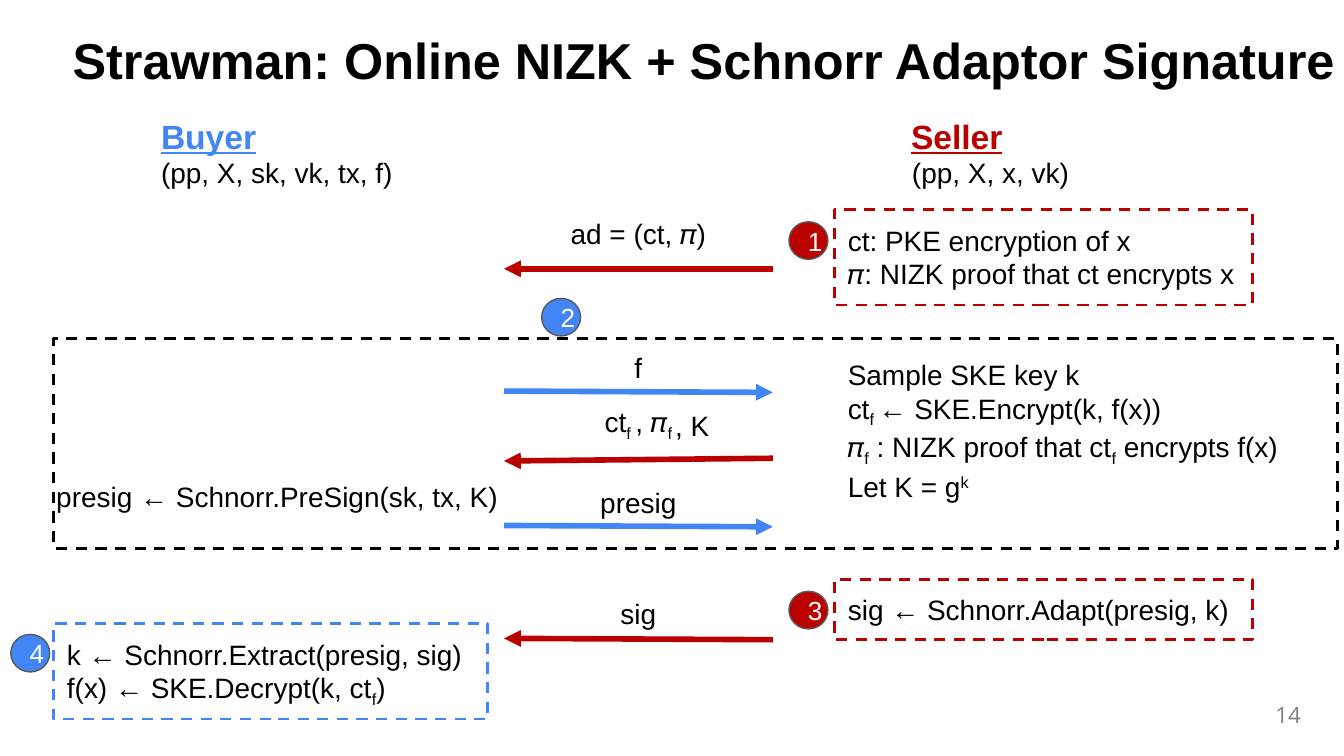
"""Build the slide on the strawman protocol between a buyer and a seller."""
from dataclasses import dataclass

import lxml.etree
import pptx
import pptx.dml.color
import pptx.enum.dml
import pptx.enum.shapes
import pptx.enum.text
import pptx.oxml.ns
import pptx.util

RGB = pptx.dml.color.RGBColor
BLACK = RGB(0x00, 0x00, 0x00)
WHITE = RGB(0xFF, 0xFF, 0xFF)
GRAY = RGB(0x82, 0x82, 0x82)
OUTLINE = RGB(0x59, 0x59, 0x59)
BUYER = RGB(0x42, 0x85, 0xF4)
SELLER = RGB(0xBB, 0x00, 0x00)

SHAPE = pptx.enum.shapes.MSO_SHAPE
ALIGN = pptx.enum.text.PP_ALIGN
ANCHOR = pptx.enum.text.MSO_ANCHOR
AUTO_SIZE = pptx.enum.text.MSO_AUTO_SIZE

PX = 9144
SLIDE_WIDTH = 1000 * PX
SLIDE_HEIGHT = SLIDE_WIDTH * 9 // 16
BUYER_END, SELLER_END = 375, 575
MESSAGE_CENTER = 475
SELLER_LEFT = 621


@dataclass(frozen=True)
class Area:
    """A rectangle in px."""
    left: int
    top: int
    width: int
    height: int

    def emu(self) -> list[int]:
        """Return the position and size in EMU."""
        return [n * PX for n in (self.left, self.top, self.width, self.height)]


@dataclass(frozen=True)
class Message:
    """A labelled arrow; the arrow runs from the sender to the receiver."""
    label: str
    label_top: int
    sent_y: int
    received_y: int
    from_seller: bool
    label_width: int = 144


@dataclass(frozen=True)
class Step:
    """A numbered circle."""
    number: int
    left: int
    top: int
    color: RGB


@dataclass(frozen=True)
class Party:
    """A role with its inputs."""
    name: str
    inputs: str
    area: Area
    color: RGB
    align: ALIGN


@dataclass(frozen=True)
class Action:
    """Lines of computation, in a dashed frame if it has a color."""
    lines: list[str]
    area: Area
    frame: RGB | None = None
    align: ALIGN = ALIGN.LEFT
    shift: int = -25


MESSAGES = [
    Message("ad = (ct, 𝜋)", 156, 200, 200, True),
    Message("f", 256, 291, 292, False),
    Message("ct|f |, 𝜋|f|", 298, 341, 343, True),
    Message("presig", 356, 391, 392, False),
    Message("sig", 439, 476, 475, True, 70),
]
STEPS = [
    Step(1, 587, 165, SELLER),
    Step(2, 403, 222, BUYER),
    Step(3, 587, 440, SELLER),
    Step(4, 8, 472, BUYER),
]
PARTIES = [
    Party("Seller", "(pp, X, x, vk)", Area(668, 76, 138, 76), SELLER, ALIGN.CENTER),
    Party("Buyer", "(pp, X, sk, vk, tx, f)", Area(110, 76, 214, 76), BUYER, ALIGN.LEFT),
]
ACTIONS = [
    Action(["ct: PKE encryption of x", "𝜋: NIZK proof that ct encrypts x"],
           Area(SELLER_LEFT, 156, 311, 71), SELLER),
    Action(["sig ← Schnorr.Adapt(presig, k)"], Area(SELLER_LEFT, 431, 311, 45), SELLER),
    Action(["k ← Schnorr.Extract(presig, sig)", "f(x) ← SKE.Decrypt(k, ct|f|)"],
           Area(40, 464, 323, 71), BUYER),
    Action(["Sample SKE key k", "ct|f |← SKE.Encrypt(k, f(x))",
            "𝜋|f| : NIZK proof that ct|f| encrypts f(x)"], Area(SELLER_LEFT, 256, 390, 96)),
    Action(["presig ← Schnorr.PreSign(sk, tx, K)"], Area(32, 347, 371, 45)),
    Action(["Let K = g|k|"], Area(SELLER_LEFT, 339, 328, 45), shift=30),
    Action([", K"], Area(483, 294, 64, 45), align=ALIGN.CENTER),
]


def set_frame(frame, anchor: ANCHOR = ANCHOR.TOP, inset: int = 10) -> None:
    """Set wrapping, anchor and insets of a text frame."""
    frame.word_wrap = True
    frame.auto_size = AUTO_SIZE.SHAPE_TO_FIT_TEXT if anchor == ANCHOR.TOP else AUTO_SIZE.NONE
    frame.vertical_anchor = anchor
    frame.margin_left = frame.margin_right = inset * PX
    frame.margin_top = frame.margin_bottom = inset * PX


def write(paragraph, text: str, *, size: int = 15, color: RGB = BLACK, font: str = "Arial",
          bold: bool = False, underline: bool = False, align: ALIGN = ALIGN.LEFT,
          shift: int = -25) -> None:
    """Write text whose parts between bars are raised or lowered by shift percent."""
    paragraph.alignment = align
    for index, part in enumerate(text.split("|")):
        if not part:
            continue
        run = paragraph.add_run()
        run.text = part
        run.font.name, run.font.size = font, pptx.util.Pt(size)
        run.font.bold, run.font.underline = bold, underline
        run.font.color.rgb = color
        if index % 2:
            run.font._element.set("baseline", str(shift * 1000))


def next_paragraph(frame, index: int):
    """Return the first paragraph of a frame or a new one."""
    return frame.add_paragraph() if index else frame.paragraphs[0]


def add_dashed_box(shapes, area: Area, color: RGB):
    """Add an unfilled rectangle with a dashed outline."""
    box = shapes.add_shape(SHAPE.RECTANGLE, *area.emu())
    box.shadow.inherit = False
    box.fill.background()
    box.line.color.rgb = color
    box.line.width = pptx.util.Pt(1.5)
    box.line.dash_style = pptx.enum.dml.MSO_LINE.DASH
    return box


def add_message(shapes, message: Message) -> None:
    """Add an arrow between the parties and the label above it."""
    start, end = (SELLER_END, BUYER_END) if message.from_seller else (BUYER_END, SELLER_END)
    arrow = shapes.add_connector(pptx.enum.shapes.MSO_CONNECTOR.STRAIGHT, start * PX,
                                 message.sent_y * PX, end * PX, message.received_y * PX)
    arrow.line.color.rgb = SELLER if message.from_seller else BUYER
    arrow.line.width = pptx.util.Pt(3)
    qn = pptx.oxml.ns.qn
    properties = arrow._element.spPr
    lxml.etree.SubElement(properties.find(qn("a:ln")), qn("a:tailEnd"), type="triangle")
    lxml.etree.SubElement(properties, qn("a:effectLst"))
    left = MESSAGE_CENTER - message.label_width // 2
    label = shapes.add_textbox(*Area(left, message.label_top, message.label_width, 35).emu())
    set_frame(label.text_frame, ANCHOR.MIDDLE)
    write(label.text_frame.paragraphs[0], message.label, align=ALIGN.CENTER)


def add_step(shapes, step: Step) -> None:
    """Add a numbered circle."""
    circle = shapes.add_shape(SHAPE.OVAL, *Area(step.left, step.top, 29, 28).emu())
    circle.shadow.inherit = False
    circle.fill.solid()
    circle.fill.fore_color.rgb = step.color
    circle.line.color.rgb = OUTLINE
    circle.line.width = pptx.util.Pt(0.75)
    set_frame(circle.text_frame, ANCHOR.MIDDLE)
    number = circle.text_frame.paragraphs[0]
    write(number, str(step.number), size=14, color=WHITE, align=ALIGN.CENTER)
    indent = number._p.get_or_add_pPr()
    indent.set("marL", "0")
    indent.set("indent", str(-12 * PX))


def add_party(shapes, party: Party) -> None:
    """Add the underlined name of a party and its inputs."""
    frame = shapes.add_textbox(*party.area.emu()).text_frame
    set_frame(frame)
    write(frame.paragraphs[0], party.name, size=18, color=party.color, bold=True, underline=True)
    write(frame.add_paragraph(), party.inputs, align=party.align)


def add_action(shapes, action: Action) -> None:
    """Add the lines of an action, framed or plain."""
    box = (add_dashed_box(shapes, action.area, action.frame) if action.frame is not None
           else shapes.add_textbox(*action.area.emu()))
    set_frame(box.text_frame)
    for index, line in enumerate(action.lines):
        write(next_paragraph(box.text_frame, index), line, align=action.align, shift=action.shift)


def main() -> None:
    """Build and save the slide."""
    deck = pptx.Presentation()
    deck.slide_width, deck.slide_height = SLIDE_WIDTH, SLIDE_HEIGHT
    shapes = deck.slides.add_slide(deck.slide_layouts[5]).shapes
    title = shapes.title
    title.left, title.top, title.width, title.height = Area(50, 23, 950, 48).emu()
    set_frame(title.text_frame, ANCHOR.MIDDLE, 4)
    heading = title.text_frame.paragraphs[0]
    heading.line_spacing = 0.9
    write(heading, "Strawman: Online NIZK + Schnorr Adaptor Signature", size=27, bold=True)

    add_dashed_box(shapes, Area(40, 252, 955, 156), BLACK)
    for message in MESSAGES:
        add_message(shapes, message)
    for step in STEPS:
        add_step(shapes, step)
    for action in ACTIONS:
        add_action(shapes, action)
    for party in PARTIES:
        add_party(shapes, party)

    page_number = shapes.add_textbox(*Area(943, 518, 29, 28).emu()).text_frame
    set_frame(page_number, ANCHOR.MIDDLE, 4)
    write(page_number.paragraphs[0], "14", size=12, color=GRAY, font="Open Sans",
          align=ALIGN.RIGHT)
    deck.save("out.pptx")


if __name__ == "__main__":
    main()
